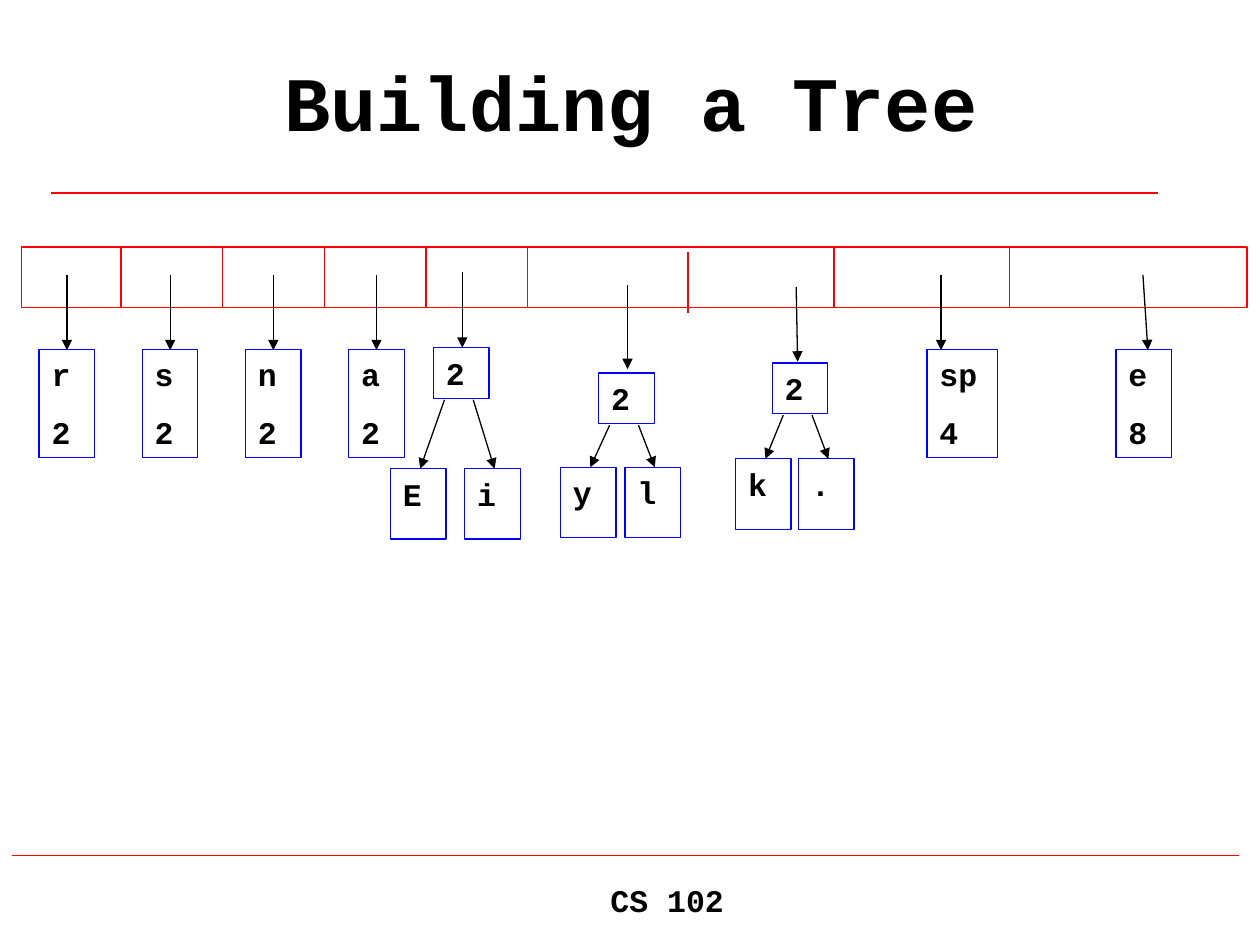
from lxml import etree
from pptx import Presentation
from pptx.dml.color import RGBColor
from pptx.enum import shapes, text
from pptx.oxml.ns import qn
from pptx.util import Cm, Pt

COLORS = {"ink": "000000", "rule": "FF0000", "node": "0000FF", "paper": "FFFFFF"}
FONT = "Courier New"

TITLE = "Building a Tree"
FOOTER = "CS 102"

# All lengths are centimetres.
RULES = [((1.02, 3.89), (23.34, 3.89)), ((0.25, 17.25), (24.97, 17.25))]
QUEUE = (0.43, 4.98, 24.71, 1.22)
# Divider x and its drop below the top of the queue
DIVIDERS = [(2.44 + 2.05 * i, 0) for i in range(5)]
DIVIDERS += [(13.87, 0.1), (16.81, 0), (20.35, 0)]

NODE_WIDTH = 1.12
LEAF_TOP, LEAF_HEIGHT = 7.04, 2.18
ROOT_HEIGHT, CHILD_HEIGHT = 1.02, 1.42
POINTER_TOP, POINTER_END = 5.54, 7.06

# Symbol, count, left, width, pointer start x, pointer end x
LEAVES = [
    (symbol, "2", 0.79 + 2.08 * i, NODE_WIDTH, 1.35 + 2.08 * i, 1.35 + 2.08 * i)
    for i, symbol in enumerate("rsna")
]
LEAVES += [
    ("sp", "4", 18.69, 1.42, 18.97, 18.97),
    ("e", "8", 22.5, NODE_WIDTH, 23.04, 23.14),
]

TREES = [
    {"count": "2", "root": (8.74, 7.01), "child_top": 9.45,
     "children": [("E", 7.87), ("i", 9.37)],
     "pointer": ((9.32, 5.49), (9.32, 7.01))},
    {"count": "2", "root": (12.07, 7.52), "child_top": 9.42,
     "children": [("y", 11.3), ("l", 12.6)],
     "pointer": ((12.65, 5.74), (12.65, 7.44))},
    {"count": "2", "root": (15.57, 7.32), "child_top": 9.25,
     "children": [("k", 14.83), (".", 16.1)],
     "pointer": ((16.05, 5.79), (16.08, 7.29))},
]
EDGE_STARTS = (0.22, 0.8)  # from the left side of the root
EDGE_DROP = 1.05           # from the top of the root
EDGE_END = 0.6             # from the left side of the child


def color(name):
    return RGBColor.from_string(COLORS[name])


def add_line(slide, start, end, color_name, arrow=False):
    line = slide.shapes.add_connector(
        shapes.MSO_CONNECTOR.STRAIGHT, *(Cm(value) for value in (*start, *end)))
    line.line.color.rgb = color(color_name)
    line.line.width = Pt(0.75)
    if arrow:
        etree.SubElement(line.line._get_or_add_ln(), qn("a:tailEnd"), type="triangle")
    etree.SubElement(line._element.spPr, qn("a:effectLst"))


def add_rectangle(slide, area, line_color):
    box = slide.shapes.add_shape(
        shapes.MSO_SHAPE.RECTANGLE, *(Cm(value) for value in area))
    box.shadow.inherit = False
    box.fill.background()
    box.line.color.rgb = color(line_color)
    box.line.width = Pt(0.75)
    return box


def write(shape, content, size, align, anchor):
    frame = shape.text_frame
    frame.word_wrap = True
    frame.vertical_anchor = anchor
    frame.text = content
    for para in frame.paragraphs:
        para.alignment = align
        for span in para.runs:
            span.font.name = FONT
            span.font.size = Pt(size)
            span.font.bold = True
            span.font.color.rgb = color("ink")


def add_node(slide, area, *lines):
    box = add_rectangle(slide, area, "node")
    write(box, "\n".join(lines), 18, text.PP_ALIGN.LEFT, text.MSO_ANCHOR.TOP)
    for para in box.text_frame.paragraphs:
        para.space_before = Pt(11.2)


def add_queue(slide):
    box = add_rectangle(slide, QUEUE, "rule")
    box.fill.solid()
    box.fill.fore_color.rgb = color("paper")
    _, top, _, height = QUEUE
    for x, drop in DIVIDERS:
        add_line(slide, (x, top + drop), (x, top + drop + height), "rule")


def add_tree(slide, tree):
    left, top = tree["root"]
    add_node(slide, (left, top, NODE_WIDTH, ROOT_HEIGHT), tree["count"])
    add_line(slide, *tree["pointer"], "ink", arrow=True)
    child_top = tree["child_top"]
    for (symbol, child_left), offset in zip(tree["children"], EDGE_STARTS):
        add_node(slide, (child_left, child_top, NODE_WIDTH, CHILD_HEIGHT), symbol)
        add_line(slide, (left + offset, top + EDGE_DROP),
                 (child_left + EDGE_END, child_top), "ink", arrow=True)


def main():
    deck = Presentation()
    deck.slide_width, deck.slide_height = Cm(25.4), Cm(19.05)
    slide = deck.slides.add_slide(deck.slide_layouts[5])

    title = slide.shapes.title
    title.left, title.top, title.width, title.height = (
        Cm(value) for value in (1.93, 0.43, 21.59, 3.18))
    write(title, TITLE, 44, text.PP_ALIGN.CENTER, text.MSO_ANCHOR.MIDDLE)
    footer = slide.shapes.add_textbox(Cm(6.81), Cm(17.63), Cm(13.28), Cm(1.27))
    write(footer, FOOTER, 18, text.PP_ALIGN.CENTER, text.MSO_ANCHOR.TOP)
    for start, end in RULES:
        add_line(slide, start, end, "rule")

    add_queue(slide)
    for symbol, count, left, width, start_x, end_x in LEAVES:
        add_node(slide, (left, LEAF_TOP, width, LEAF_HEIGHT), symbol, count)
        add_line(slide, (start_x, POINTER_TOP), (end_x, POINTER_END), "ink", arrow=True)
    for tree in TREES:
        add_tree(slide, tree)

    deck.save("out.pptx")


if __name__ == "__main__":
    main()
